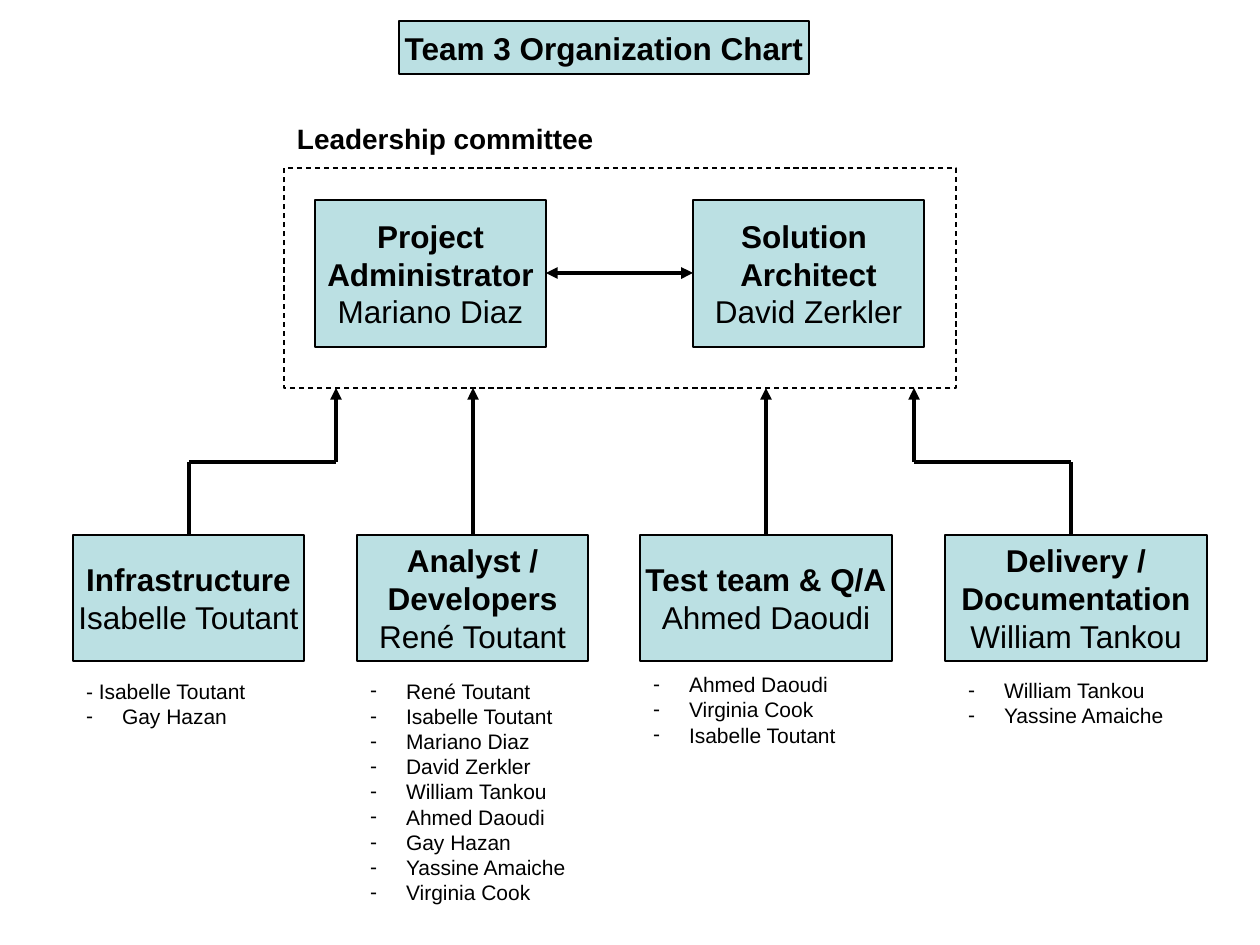
"""Build the Team 3 organization chart slide."""

from dataclasses import dataclass

import pptx
import pptx.dml.color
import pptx.enum.dml
import pptx.enum.shapes
import pptx.enum.text
import pptx.oxml
import pptx.oxml.ns
import pptx.util

Align = pptx.enum.text.PP_ALIGN
Anchor = pptx.enum.text.MSO_ANCHOR
RECTANGLE = pptx.enum.shapes.MSO_SHAPE.RECTANGLE
PX = 914400 / 126
COMPARISON_LAYOUT = 4


@dataclass(frozen=True)
class Theme:
    font: str = "Arial"
    ink: str = "000000"
    box_fill: str = "BBE0E3"
    heading_size: int = 18
    caption_size: int = 16
    lead_size: int = 14
    list_size: int = 12
    line_spacing: float = 1.0
    lead_spacing: float = 16.5
    border: float = 0.75
    arrow: float = 2.25
    hanging: int = 36
    side_margin: int = 13
    end_margin: int = 6


@dataclass(frozen=True)
class Area:
    left: int
    top: int
    width: int
    height: int


@dataclass(frozen=True)
class Role:
    area: Area
    heading: tuple[str, ...]
    person: str


@dataclass(frozen=True)
class Link:
    start: tuple[int, int]
    end: tuple[int, int]
    head: bool = False
    tail: bool = False


@dataclass(frozen=True)
class Team:
    area: Area
    members: tuple[str, ...]
    large_lead: bool = False


THEME = Theme()
TITLE_AREA = Area(399, 21, 410, 53)
CAPTION_AREA = Area(284, 116, 346, 47)
COMMITTEE = Area(284, 168, 672, 220)
LEADER_TOP, LEADER_HEIGHT = 200, 147
TEAM_TOP, TEAM_HEIGHT = 535, 126
COMMITTEE_BOTTOM = COMMITTEE.top + COMMITTEE.height
ELBOW = 462

ROLES = (
    Role(Area(315, LEADER_TOP, 231, LEADER_HEIGHT), ("Project", "Administrator"), "Mariano Diaz"),
    Role(Area(693, LEADER_TOP, 231, LEADER_HEIGHT), ("Solution ", "Architect"), "David Zerkler"),
    Role(Area(73, TEAM_TOP, 231, TEAM_HEIGHT), ("Infrastructure",), "Isabelle Toutant"),
    Role(Area(357, TEAM_TOP, 231, TEAM_HEIGHT), ("Analyst /", "Developers"), "René Toutant"),
    Role(Area(640, TEAM_TOP, 252, TEAM_HEIGHT), ("Test team & Q/A",), "Ahmed Daoudi"),
    Role(Area(945, TEAM_TOP, 262, TEAM_HEIGHT), ("Delivery /", "Documentation"), "William Tankou"),
)
LINKS = (
    Link((546, 273), (693, 273), head=True, tail=True),
    *(Link((x, TEAM_TOP), (x, COMMITTEE_BOTTOM), tail=True) for x in (473, 766)),
    *(
        link
        for outer, inner in ((189, 336), (1071, 914))
        for link in (
            Link((outer, TEAM_TOP), (outer, ELBOW)),
            Link((outer, ELBOW), (inner, ELBOW)),
            Link((inner, ELBOW), (inner, COMMITTEE_BOTTOM), tail=True),
        )
    ),
)
TEAMS = (
    Team(Area(73, 672, 189, 63), ("- Isabelle Toutant", "Gay Hazan")),
    Team(
        Area(357, 672, 262, 239),
        (
            "René Toutant", "Isabelle Toutant", "Mariano Diaz", "David Zerkler", "William Tankou",
            "Ahmed Daoudi", "Gay Hazan", "Yassine Amaiche", "Virginia Cook",
        ),
    ),
    Team(Area(640, 662, 262, 93), ("Ahmed Daoudi", "Virginia Cook", "Isabelle Toutant"), True),
    Team(Area(955, 668, 252, 68), ("William Tankou", "Yassine Amaiche"), True),
)


def px(length: int) -> int:
    """Turn pixels into EMU."""
    return round(length * PX)


def ink(color: str) -> pptx.dml.color.RGBColor:
    """Return a colour from its hex value."""
    return pptx.dml.color.RGBColor.from_string(color)


def place(shape, area: Area) -> None:
    """Move and size a shape."""
    shape.left, shape.top = px(area.left), px(area.top)
    shape.width, shape.height = px(area.width), px(area.height)


def add_rectangle(slide, area: Area):
    """Add a rectangle without a shadow."""
    shape = slide.shapes.add_shape(RECTANGLE, 0, 0, 0, 0)
    place(shape, area)
    shape.shadow.inherit = False
    return shape


def outline(shape, width: float) -> None:
    """Give a shape or connector its line."""
    shape.line.color.rgb = ink(THEME.ink)
    shape.line.width = pptx.util.Pt(width)


def set_frame(shape, anchor, wrap: bool, side_margin: int) -> None:
    """Set how a shape holds its text."""
    frame = shape.text_frame
    frame.word_wrap, frame.vertical_anchor = wrap, anchor
    frame.auto_size = pptx.enum.text.MSO_AUTO_SIZE.NONE
    frame.margin_left = frame.margin_right = px(side_margin)
    frame.margin_top = frame.margin_bottom = px(THEME.end_margin)


def next_paragraph(frame, align):
    """Return the first free paragraph of a text frame."""
    paragraph = frame.add_paragraph() if frame.paragraphs[0].runs else frame.paragraphs[0]
    paragraph.alignment = align
    paragraph.space_before = pptx.util.Pt(0)
    paragraph.line_spacing = THEME.line_spacing
    return paragraph


def add_run(paragraph, text: str, size: int, bold: bool = False) -> None:
    """Add a formatted run."""
    run = paragraph.add_run()
    run.text = text
    run.font.name, run.font.size, run.font.bold = THEME.font, pptx.util.Pt(size), bold
    run.font.color.rgb = ink(THEME.ink)


def set_bullet(paragraph, size: int, shown: bool) -> None:
    """Set a hanging dash, or none."""
    properties = paragraph._p.get_or_add_pPr()
    indent = px(THEME.hanging) if shown else 0
    properties.set("marL", str(indent))
    properties.set("indent", str(-indent))
    namespace = pptx.oxml.ns.nsdecls("a")
    elements = (
        f'<a:buClr {namespace}><a:srgbClr val="{THEME.ink}"/></a:buClr>',
        f'<a:buSzPts {namespace} val="{size * 100}"/>',
        f'<a:buFont {namespace} typeface="{THEME.font}"/>',
        f'<a:buChar {namespace} char="-"/>',
    ) if shown else (f"<a:buNone {namespace}/>",)
    for element in elements:
        properties.append(pptx.oxml.parse_xml(element))


def fill_box(shape, heading: tuple[str, ...], person: str = "") -> None:
    """Fill a box with a bold heading and a plain name."""
    shape.fill.solid()
    shape.fill.fore_color.rgb = ink(THEME.box_fill)
    outline(shape, THEME.border)
    set_frame(shape, Anchor.MIDDLE, wrap=False, side_margin=0)
    for text in filter(None, (*heading, person)):
        paragraph = next_paragraph(shape.text_frame, Align.CENTER)
        add_run(paragraph, text, THEME.heading_size, bold=text != person)


def add_link(slide, link: Link) -> None:
    """Draw a straight line with its arrowheads."""
    points = (px(value) for value in (*link.start, *link.end))
    connector = slide.shapes.add_connector(pptx.enum.shapes.MSO_CONNECTOR.STRAIGHT, *points)
    outline(connector, THEME.arrow)
    namespace = pptx.oxml.ns.nsdecls("a")
    for tag, shown in (("headEnd", link.head), ("tailEnd", link.tail)):
        if shown:
            end = pptx.oxml.parse_xml(f'<a:{tag} {namespace} type="triangle"/>')
            connector.line._get_or_add_ln().append(end)
    connector._element.spPr.append(pptx.oxml.parse_xml(f"<a:effectLst {namespace}/>"))


def fill_team(placeholder, team: Team) -> None:
    """List the members of a team."""
    place(placeholder, team.area)
    set_frame(placeholder, Anchor.TOP, wrap=True, side_margin=THEME.side_margin)
    for index, member in enumerate(team.members):
        paragraph = next_paragraph(placeholder.text_frame, Align.LEFT)
        large = team.large_lead and index == 0
        if large:
            paragraph.line_spacing = pptx.util.Pt(THEME.lead_spacing)
        bullet_size = THEME.lead_size if large else THEME.list_size
        set_bullet(paragraph, bullet_size, shown=not member.startswith("-"))
        add_run(paragraph, member, THEME.list_size)


def main() -> None:
    """Build and save the slide."""
    presentation = pptx.Presentation()
    presentation.slide_width, presentation.slide_height = px(1260), px(945)
    slide = presentation.slides.add_slide(presentation.slide_layouts[COMPARISON_LAYOUT])
    committee = add_rectangle(slide, COMMITTEE)
    committee.fill.background()
    outline(committee, THEME.border)
    committee.line.dash_style = pptx.enum.dml.MSO_LINE.DASH
    place(slide.shapes.title, TITLE_AREA)
    fill_box(slide.shapes.title, ("Team 3 Organization Chart",))
    for role in ROLES:
        fill_box(add_rectangle(slide, role.area), role.heading, role.person)
    for link in LINKS:
        add_link(slide, link)
    caption = slide.shapes.add_textbox(0, 0, 0, 0)
    place(caption, CAPTION_AREA)
    set_frame(caption, Anchor.TOP, wrap=True, side_margin=THEME.side_margin)
    paragraph = next_paragraph(caption.text_frame, Align.LEFT)
    add_run(paragraph, "Leadership committee", THEME.caption_size, bold=True)
    for index, team in enumerate(TEAMS, start=1):
        fill_team(slide.placeholders[index], team)
    for placeholder in list(slide.placeholders):
        if not placeholder.text_frame.text:
            placeholder._element.getparent().remove(placeholder._element)
    presentation.save("out.pptx")


if __name__ == "__main__":
    main()
